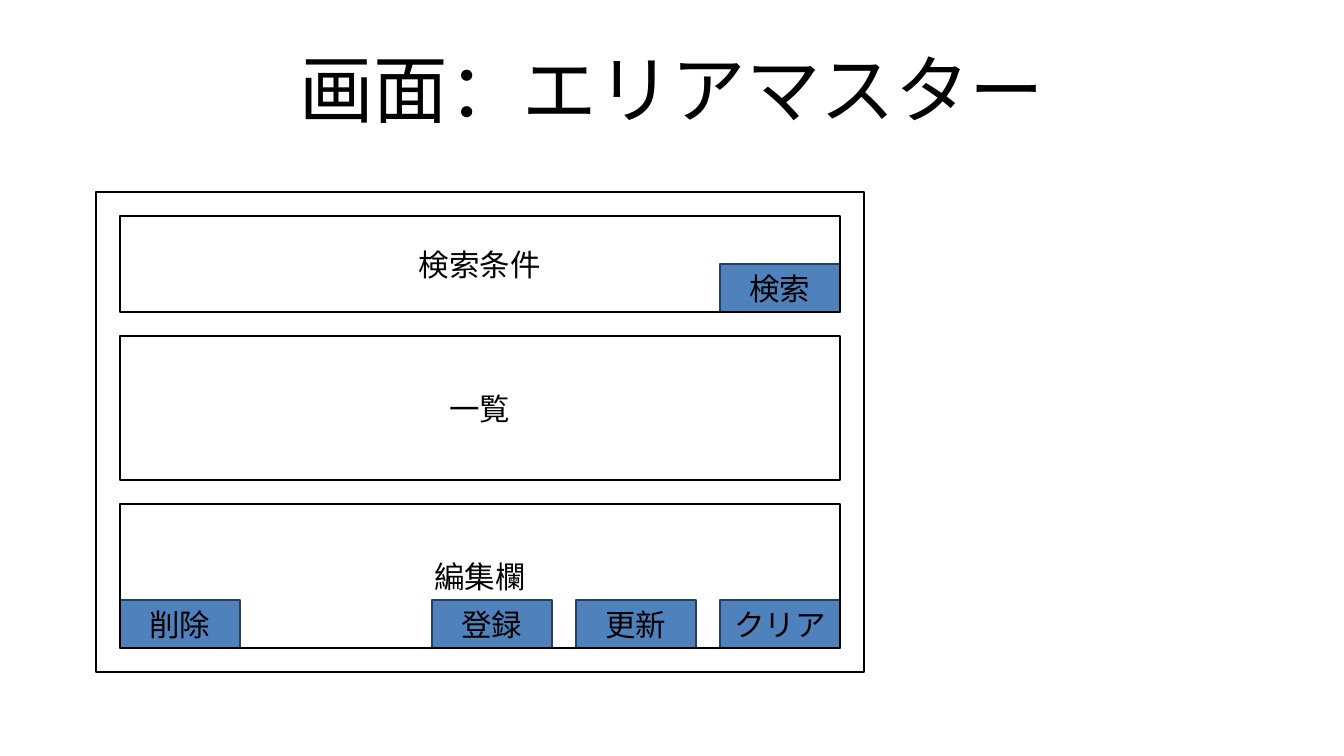
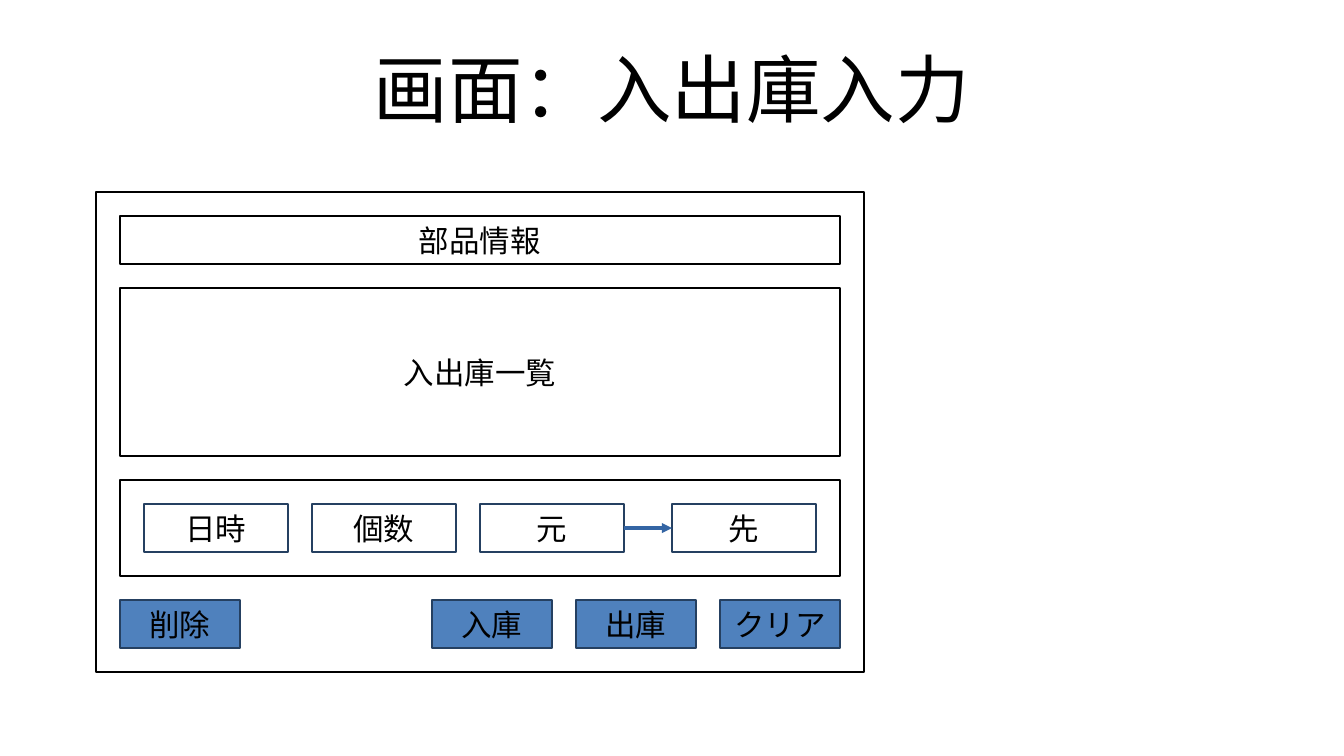
"""Build two wireframe slides of an inventory application."""
from dataclasses import dataclass
from typing import Optional

from lxml.etree import SubElement
from pptx import Presentation
from pptx.dml.color import RGBColor
from pptx.enum.shapes import MSO_CONNECTOR, MSO_SHAPE
from pptx.enum.text import MSO_ANCHOR, MSO_AUTO_SIZE, PP_ALIGN
from pptx.oxml.ns import qn
from pptx.presentation import Presentation as Deck
from pptx.slide import Slide
from pptx.text.text import TextFrame
from pptx.util import Cm, Pt


@dataclass(frozen=True)
class Theme:
    ink: RGBColor = RGBColor(0x00, 0x00, 0x00)
    button_fill: RGBColor = RGBColor(0x4F, 0x81, 0xBD)
    control_edge: RGBColor = RGBColor(0x25, 0x40, 0x61)
    arrow: RGBColor = RGBColor(0x34, 0x65, 0xA4)
    font: str = "Arial"
    title_size: int = 44
    label_size: int = 18
    hairline: int = 0


@dataclass(frozen=True)
class Area:
    left: float
    top: float
    width: float
    height: float


@dataclass(frozen=True)
class Panel:
    label: str
    height: float


@dataclass(frozen=True)
class Control:
    label: str
    left: float
    top: float


@dataclass(frozen=True)
class Screen:
    title: str
    panels: tuple[Panel, ...]
    buttons: tuple[Control, ...]
    fields: tuple[Control, ...] = ()
    transfer: Optional[tuple[int, int]] = None


THEME = Theme()
TITLE = Area(1.4, 0.63, 25.2, 2.61)
WINDOW = Area(2, 4, 16, 10)
GAP = 0.5
INNER_LEFT = WINDOW.left + GAP
INNER_WIDTH = WINDOW.width - 2 * GAP
BUTTON_WIDTH = 2.5
FIELD_WIDTH = 3
CONTROL_HEIGHT = 1
BUTTON_TOP = WINDOW.top + WINDOW.height - GAP - CONTROL_HEIGHT
FIELD_TOP = 10.5
CLEAR_LEFT = INNER_LEFT + INNER_WIDTH - BUTTON_WIDTH


def action_row(first: str, second: str) -> tuple[Control, ...]:
    """Return the bottom buttons: delete at the left, the rest at the right."""
    step = BUTTON_WIDTH + GAP
    return (
        Control(first, CLEAR_LEFT - 2 * step, BUTTON_TOP),
        Control(second, CLEAR_LEFT - step, BUTTON_TOP),
        Control("削除", INNER_LEFT, BUTTON_TOP),
        Control("クリア", CLEAR_LEFT, BUTTON_TOP),
    )


SCREENS = (
    Screen(
        "画面：エリアマスター",
        (Panel("検索条件", 2), Panel("一覧", 3), Panel("編集欄", 3)),
        (Control("検索", CLEAR_LEFT, 5.5), *action_row("登録", "更新")),
    ),
    Screen(
        "画面：入出庫入力",
        (Panel("部品情報", 1), Panel("入出庫一覧", 3.5), Panel("", 2)),
        action_row("入庫", "出庫"),
        tuple(
            Control(label, left, FIELD_TOP)
            for label, left in (("日時", 3), ("個数", 6.5), ("元", 10), ("先", 14))
        ),
        (2, 3),
    ),
)


def write(frame: TextFrame, text: str, size: int) -> None:
    """Set centred text in the theme font."""
    frame.text = text
    frame.word_wrap = True
    frame.vertical_anchor = MSO_ANCHOR.MIDDLE
    paragraph = frame.paragraphs[0]
    paragraph.alignment = PP_ALIGN.CENTER
    for run in paragraph.runs:
        run.font.name = THEME.font
        run.font.size = Pt(size)
        run.font.color.rgb = THEME.ink


def draw_title(slide: Slide, text: str) -> None:
    """Place and format the title placeholder."""
    title = slide.shapes.title
    title.left, title.top = Cm(TITLE.left), Cm(TITLE.top)
    title.width, title.height = Cm(TITLE.width), Cm(TITLE.height)
    frame = title.text_frame
    write(frame, text, THEME.title_size)
    frame.auto_size = MSO_AUTO_SIZE.NONE
    frame.margin_left = frame.margin_right = Cm(0)
    frame.margin_top = frame.margin_bottom = Cm(0)
    frame.paragraphs[0].line_spacing = 0.9


def draw_box(slide: Slide, area: Area, edge: RGBColor, label: str = "",
             fill: Optional[RGBColor] = None) -> None:
    """Draw a hairline rectangle with an optional label and fill."""
    box = slide.shapes.add_shape(
        MSO_SHAPE.RECTANGLE, Cm(area.left), Cm(area.top), Cm(area.width), Cm(area.height)
    )
    box.shadow.inherit = False
    if fill is None:
        box.fill.background()
    else:
        box.fill.solid()
        box.fill.fore_color.rgb = fill
    box.line.color.rgb = edge
    box.line.width = Pt(THEME.hairline)
    if label:
        write(box.text_frame, label, THEME.label_size)


def draw_control(slide: Slide, control: Control, width: float,
                 fill: Optional[RGBColor] = None) -> None:
    """Draw a button or an input field."""
    area = Area(control.left, control.top, width, CONTROL_HEIGHT)
    draw_box(slide, area, THEME.control_edge, control.label, fill)


def draw_panels(slide: Slide, panels: tuple[Panel, ...]) -> None:
    """Stack the panels inside the window with equal gaps."""
    top = WINDOW.top + GAP
    for panel in panels:
        area = Area(INNER_LEFT, top, INNER_WIDTH, panel.height)
        draw_box(slide, area, THEME.ink, panel.label)
        top += panel.height + GAP


def draw_transfer(slide: Slide, source: Control, target: Control) -> None:
    """Draw the arrow from the source field to the target field."""
    middle = Cm(source.top + CONTROL_HEIGHT / 2)
    arrow = slide.shapes.add_connector(
        MSO_CONNECTOR.STRAIGHT, Cm(source.left + FIELD_WIDTH), middle, Cm(target.left), middle
    )
    arrow.line.color.rgb = THEME.arrow
    arrow.line.width = Pt(THEME.hairline)
    SubElement(arrow.line._get_or_add_ln(), qn("a:tailEnd"), type="triangle")
    SubElement(arrow._element.spPr, qn("a:effectLst"))


def draw_screen(deck: Deck, screen: Screen) -> None:
    """Add one slide showing a screen layout."""
    slide = deck.slides.add_slide(deck.slide_layouts.get_by_name("Title Only"))
    draw_title(slide, screen.title)
    draw_box(slide, WINDOW, THEME.ink)
    for button in screen.buttons:
        draw_control(slide, button, BUTTON_WIDTH, THEME.button_fill)
    draw_panels(slide, screen.panels)
    for field in screen.fields:
        draw_control(slide, field, FIELD_WIDTH)
    if screen.transfer:
        source, target = screen.transfer
        draw_transfer(slide, screen.fields[source], screen.fields[target])


def main() -> None:
    """Build and save the deck."""
    deck = Presentation()
    deck.slide_width, deck.slide_height = Cm(28), Cm(15.75)
    for screen in SCREENS:
        draw_screen(deck, screen)
    deck.save("out.pptx")


if __name__ == "__main__":
    main()
